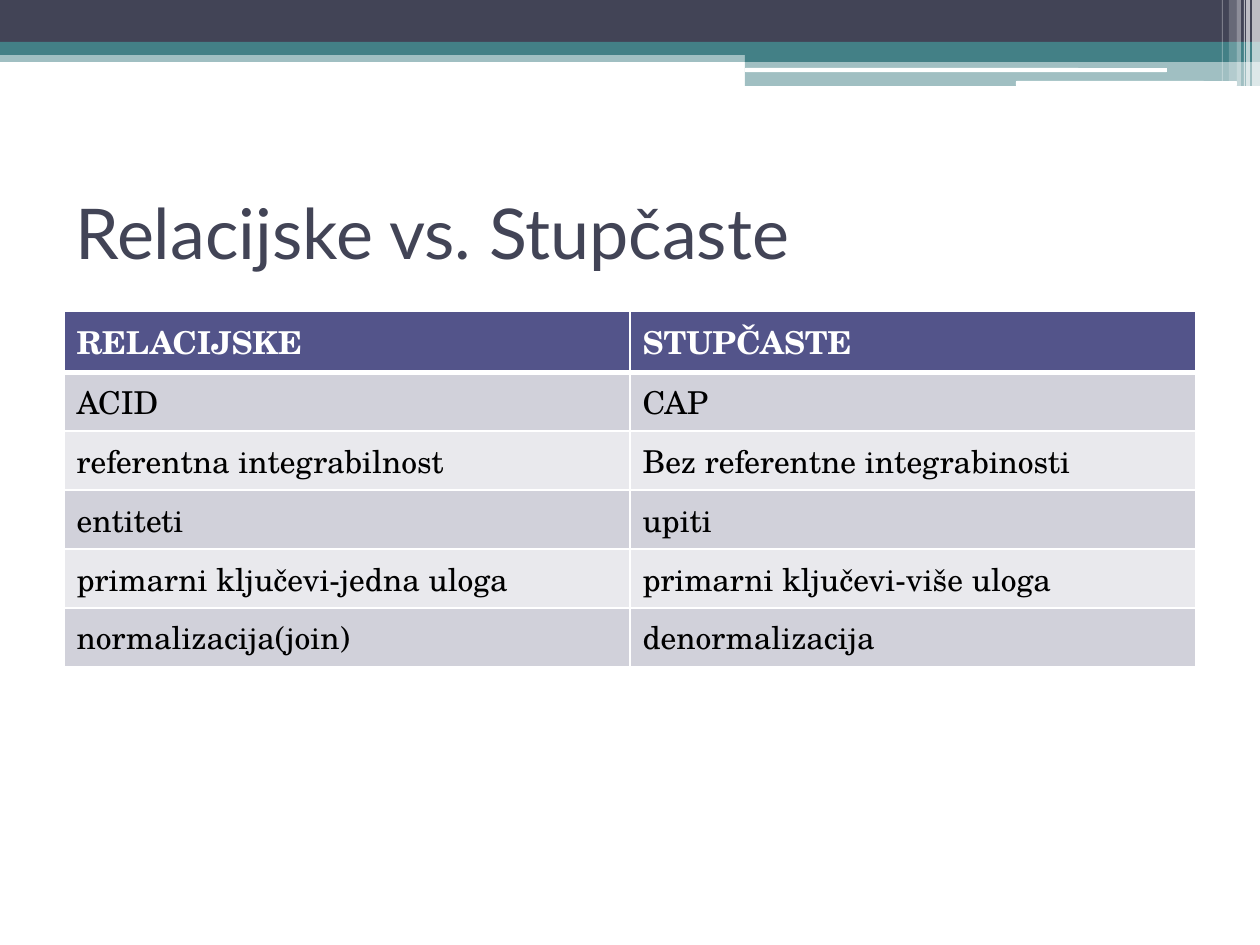
from lxml import etree
from pptx import Presentation
from pptx import util as u
from pptx.dml.color import RGBColor
from pptx.enum import shapes, text
from pptx.oxml import ns

SCALE = 914400 / 126
WHITE = RGBColor(0xFF, 0xFF, 0xFF)
BLACK = RGBColor(0x00, 0x00, 0x00)
SLATE = RGBColor(0x42, 0x44, 0x56)
TEAL = RGBColor(0x43, 0x80, 0x86)
INDIGO = RGBColor(0x53, 0x54, 0x8A)
BAND_DARK = RGBColor(0xD1, 0xD1, 0xDA)
BAND_LIGHT = RGBColor(0xE9, 0xE9, 0xED)


def px(length):
    return u.Emu(round(length * SCALE))


def add_solid(parent, color, opacity=100):
    solid = etree.SubElement(parent, ns.qn("a:solidFill"))
    value = etree.SubElement(solid, ns.qn("a:srgbClr"), val=str(color))
    if opacity < 100:
        etree.SubElement(value, ns.qn("a:alpha"), val=str(opacity * 1000))
    return solid


presentation = Presentation()
presentation.slide_width, presentation.slide_height = px(1260), px(945)
slide = presentation.slides.add_slide(presentation.slide_layouts[5])

# Header bars and stripes: left, top, width, height, colour, opacity, rounded
bars = [
    (0, 50, 1260, 12, TEAL, 50, False),
    (0, 0, 1260, 42, SLATE, 100, False),
    (0, 42, 1260, 13, TEAL, 100, False),
    (745, 49, 515, 13, TEAL, 100, False),
    (745, 61, 515, 25, TEAL, 50, False),
    (745, 68, 422, 4, WHITE, 100, True),
    (1016, 81, 221, 5, WHITE, 100, True),
]
stripes = [
    (1252, 8, 86, 65),
    (1246, 4, 86, 65),
    (1244, 1, 86, 60),
    (1237, 4, 86, 40),
    (1229, 8, 81, 20),
    (1222, 1, 81, 30),
]
bars += [(left, 0, width, height, WHITE, opacity, False)
         for left, width, height, opacity in stripes]

for left, top, width, height, color, opacity, rounded in bars:
    kind = shapes.MSO_SHAPE.ROUNDED_RECTANGLE if rounded else shapes.MSO_SHAPE.RECTANGLE
    shape = slide.shapes.add_shape(kind, px(left), px(top), px(width), px(height))
    shape.shadow.inherit = False
    shape.line.fill.background()
    shape.fill.solid()
    shape.fill.fore_color.rgb = color
    if opacity < 100:
        value = shape.fill._xPr.find(".//" + ns.qn("a:srgbClr"))
        etree.SubElement(value, ns.qn("a:alpha"), val=str(opacity * 1000))

# Title
title = slide.shapes.title
title_box = {"left": 63, "top": 158, "width": 1134, "height": 147}
for name, length in title_box.items():
    setattr(title, name, px(length))
title.text_frame.text = "Relacijske vs. Stupčaste"
title.text_frame.vertical_anchor = text.MSO_ANCHOR.MIDDLE
paragraph = title.text_frame.paragraphs[0]
paragraph.alignment = text.PP_ALIGN.LEFT
title_font = {"name": "Lato", "size": u.Pt(40), "bold": False}
for name, value in title_font.items():
    setattr(paragraph.runs[0].font, name, value)
paragraph.runs[0].font.color.rgb = SLATE

# Comparison table
rows = [
    ("RELACIJSKE", "STUPČASTE"),
    ("ACID", "CAP"),
    ("referentna integrabilnost", "Bez referentne integrabinosti"),
    ("entiteti", "upiti"),
    ("primarni ključevi-jedna uloga", "primarni ključevi-više uloga"),
    ("normalizacija(join)", "denormalizacija"),
]
table = slide.shapes.add_table(
    len(rows), 2, px(64), px(311), px(1132), px(51 * len(rows))).table

for row_index, row in enumerate(rows):
    header = row_index == 0
    band = BAND_DARK if row_index % 2 else BAND_LIGHT
    # The line under the header is thicker than the others
    borders = {"lnL": 1, "lnR": 1, "lnT": 3 if row_index == 1 else 1,
               "lnB": 3 if header else 1}
    cell_font = {"name": "TeX Gyre Schola", "size": u.Pt(18), "bold": header}
    for column_index, words in enumerate(row):
        cell = table.cell(row_index, column_index)
        properties = cell._tc.get_or_add_tcPr()
        for edge, points in borders.items():
            line = etree.SubElement(properties, ns.qn("a:" + edge), w=str(u.Pt(points)))
            add_solid(line, WHITE)
        cell.fill.solid()
        cell.fill.fore_color.rgb = INDIGO if header else band
        cell.text = words
        font = cell.text_frame.paragraphs[0].runs[0].font
        for name, value in cell_font.items():
            setattr(font, name, value)
        font.color.rgb = WHITE if header else BLACK

presentation.save("out.pptx")
